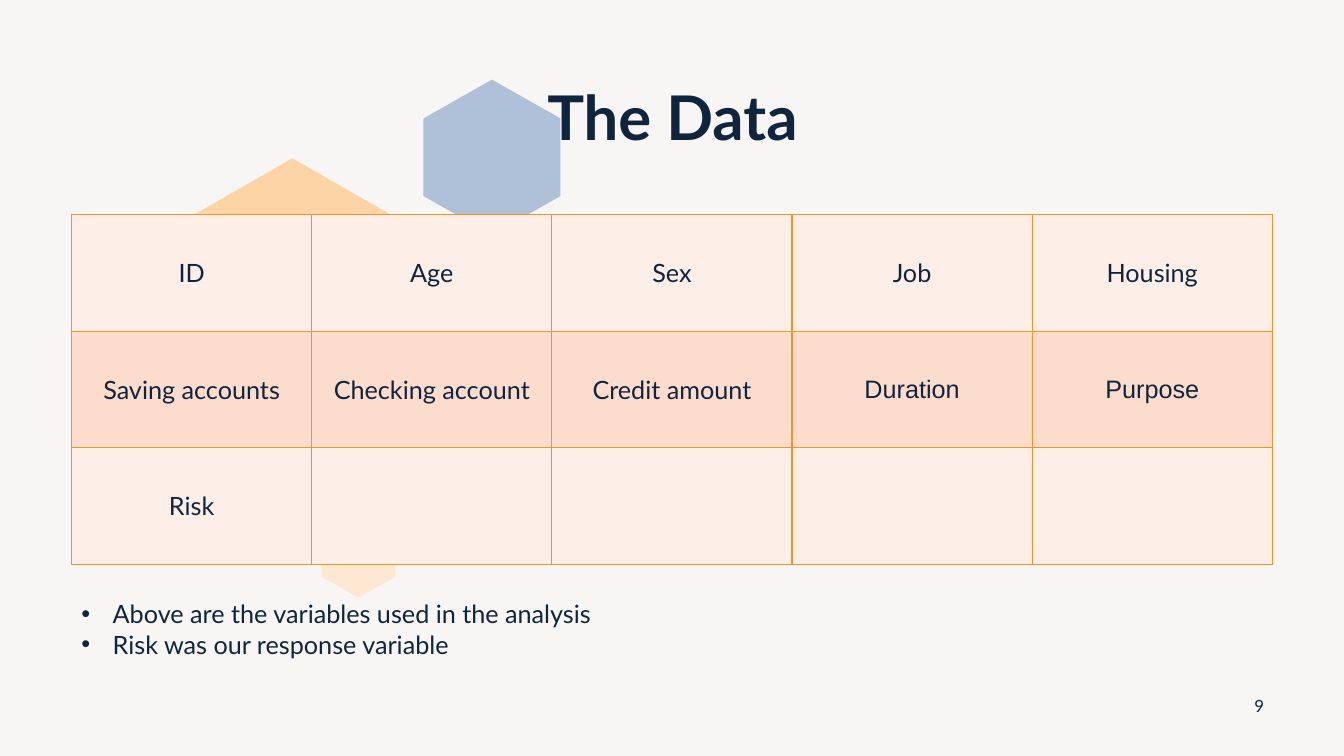
from dataclasses import dataclass

from lxml import etree
from pptx import Presentation
from pptx.dml.color import RGBColor
from pptx.enum import text
from pptx.oxml import ns
from pptx.util import Inches, Pt

TITLE = "The Data"
PAGE_NUMBER = "9"
VARIABLES = [
    ["ID", "Age", "Sex", "Job", "Housing"],
    ["Saving accounts", "Checking account", "Credit amount", "Duration", "Purpose"],
    ["Risk", "", "", "", ""],
]
ARIAL_LABELS = ("Duration", "Purpose")
NOTES = ["Above are the variables used in the analysis", "Risk was our response variable"]
HEXAGONS = [
    ((4.2, 0.79, 1.36, 1.54), "AEC1D8"),
    ((1.34, 1.57, 3.12, 3.58), "FCD4A6"),
    ((3.19, 5.1, 0.73, 0.83), "FDE9D2"),
]
TABLE_AREA = (0.71, 2.13, 11.91, 3.47)
TITLE_AREA = (0.92, 0.78, 11.5, 0.8)
NOTES_AREA = (0.71, 5.89, 11.91, 1.01)
NUMBER_AREA = (12.24, 6.8, 0.5, 0.4)


@dataclass(frozen=True)
class Theme:
    """Colours, fonts and type sizes of the slide."""

    background: str = "F8F6F5"
    ink: str = "0F253E"
    border: str = "F79320"
    bands: tuple = ("FDEEE8", "FCDCCD")
    font: str = "Lato"
    label_font: str = "Arial"
    title_size: int = 44
    body_size: int = 18
    number_size: int = 12
    border_width: int = 1


THEME = Theme()


def lengths(area):
    """Turn an area in inches into lengths."""
    return [Inches(value) for value in area]


def paint(fill, colour):
    """Give a fill one solid colour."""
    fill.solid()
    fill.fore_color.rgb = RGBColor.from_string(colour)


def write(para, words, size, align, font=THEME.font, bold=False):
    """Add one styled run to a paragraph."""
    para.alignment = align
    span = para.add_run()
    span.text = words
    span.font.name = font
    span.font.size = Pt(size)
    span.font.bold = bold
    span.font.color.rgb = RGBColor.from_string(THEME.ink)


def add_hexagon(page, area, colour):
    """Draw an upright hexagon that fills an area."""
    left, top, width, height = lengths(area)
    corners = [(0.5, 0), (1, 0.25), (1, 0.75), (0.5, 1), (0, 0.75), (0, 0.25)]
    points = [(left + width * across, top + height * down) for across, down in corners]
    builder = page.shapes.build_freeform(*points[0])
    builder.add_line_segments(points[1:], close=True)
    hexagon = builder.convert_to_shape()
    hexagon.shadow.inherit = False
    paint(hexagon.fill, colour)
    hexagon.line.fill.background()


def add_borders(cell):
    """Outline all four sides of a cell."""
    properties = cell._tc.get_or_add_tcPr()
    for side in ("lnL", "lnR", "lnT", "lnB"):
        line = etree.SubElement(properties, ns.qn(f"a:{side}"), w=str(Pt(THEME.border_width)))
        solid = etree.SubElement(line, ns.qn("a:solidFill"))
        etree.SubElement(solid, ns.qn("a:srgbClr"), val=THEME.border)


def add_variables(page):
    """Add the banded table of variables."""
    left, top, width, height = lengths(TABLE_AREA)
    rows, columns = len(VARIABLES), len(VARIABLES[0])
    table = page.shapes.add_table(rows, columns, left, top, width, height).table
    table.first_row = False
    for row, labels in enumerate(VARIABLES):
        for column, label in enumerate(labels):
            cell = table.cell(row, column)
            cell.vertical_anchor = text.MSO_ANCHOR.MIDDLE
            add_borders(cell)
            paint(cell.fill, THEME.bands[row % 2])
            if label:
                font = THEME.label_font if label in ARIAL_LABELS else THEME.font
                write(cell.text_frame.paragraphs[0], label, THEME.body_size,
                      text.PP_ALIGN.CENTER, font)


def add_title(page):
    """Place the title in front of the hexagons."""
    title = page.shapes.title
    title.left, title.top, title.width, title.height = lengths(TITLE_AREA)
    title.element.getparent().append(title.element)
    frame = title.text_frame
    frame.auto_size = text.MSO_AUTO_SIZE.NONE
    frame.vertical_anchor = text.MSO_ANCHOR.BOTTOM
    para = frame.paragraphs[0]
    para.line_spacing = 0.9
    write(para, TITLE, THEME.title_size, text.PP_ALIGN.CENTER, bold=True)


def add_notes(page):
    """Add the bulleted remarks under the table."""
    frame = page.shapes.add_textbox(*lengths(NOTES_AREA)).text_frame
    frame.word_wrap = True
    indent = Inches(0.31)
    for index, note in enumerate(NOTES):
        para = frame.add_paragraph() if index else frame.paragraphs[0]
        properties = para._p.get_or_add_pPr()
        properties.set("marL", str(indent))
        properties.set("indent", str(-indent))
        etree.SubElement(properties, ns.qn("a:buFont"), typeface=THEME.label_font)
        etree.SubElement(properties, ns.qn("a:buChar"), char="•")
        write(para, note, THEME.body_size, text.PP_ALIGN.LEFT)


def add_number(page):
    """Add the page number."""
    frame = page.shapes.add_textbox(*lengths(NUMBER_AREA)).text_frame
    frame.word_wrap = True
    frame.vertical_anchor = text.MSO_ANCHOR.MIDDLE
    write(frame.paragraphs[0], PAGE_NUMBER, THEME.number_size, text.PP_ALIGN.CENTER)


def main():
    """Build and save the slide."""
    deck = Presentation()
    deck.slide_width, deck.slide_height = Inches(13.33), Inches(7.5)
    page = deck.slides.add_slide(deck.slide_layouts[5])
    paint(page.background.fill, THEME.background)
    for area, colour in HEXAGONS:
        add_hexagon(page, area, colour)
    add_number(page)
    add_variables(page)
    add_title(page)
    add_notes(page)
    deck.save("out.pptx")


if __name__ == "__main__":
    main()
